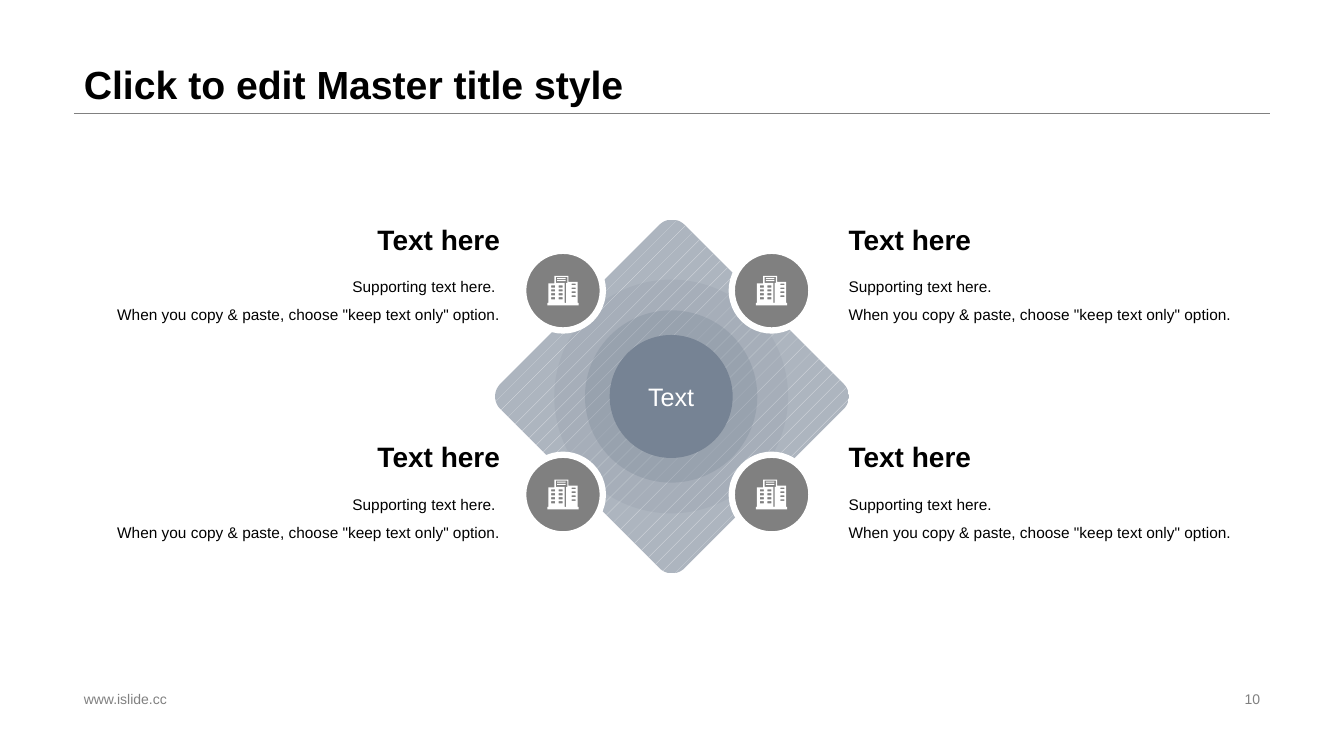
import math

import pptx
import pptx.dml.color
import pptx.enum.dml
import pptx.enum.shapes
import pptx.enum.text
import pptx.oxml.ns
import pptx.util
from lxml import etree

CELL = 76200
COLUMNS, ROWS = 160, 90
MARGIN, CONTENT_WIDTH = 8.8, 142.4
COLORS = {
    "ink": "000000",
    "white": "FFFFFF",
    "gray": "808080",
    "slate": "768394",
    "diamond": "ADB5BF",
    "hatch": "E4E6EA",
}
ALIGN = pptx.enum.text.PP_ALIGN
ANCHOR = pptx.enum.text.MSO_ANCHOR
OVAL = pptx.enum.shapes.MSO_SHAPE.OVAL
SUPPORT = ["Supporting text here.", 'When you copy & paste, choose "keep text only" option.']


def cells(*counts):
    return [pptx.util.Emu(round(count * CELL)) for count in counts]


def color(name):
    return pptx.dml.color.RGBColor.from_string(COLORS[name])


def apply(target, formats):
    for name, value in formats.items():
        setattr(target, name, value)


def write(frame, lines, size, ink="ink", bold=False, align=ALIGN.LEFT,
          anchor=ANCHOR.MIDDLE, spacing=1.0):
    apply(frame, {"word_wrap": True, "vertical_anchor": anchor})
    for index, line in enumerate(lines):
        para = frame.paragraphs[0] if index == 0 else frame.add_paragraph()
        apply(para, {"alignment": align, "line_spacing": spacing})
        span = para.add_run()
        span.text = line
        apply(span.font, {"name": "Arial", "size": pptx.util.Pt(size), "bold": bold})
        span.font.color.rgb = color(ink)


def add_text(page, box, lines, size, **formats):
    write(page.shapes.add_textbox(*cells(*box)).text_frame, lines, size, **formats)


def paint(shape, fill, alpha=None, outline=None, width=0):
    shape.shadow.inherit = False
    shape.fill.solid()
    shape.fill.fore_color.rgb = color(fill)
    if alpha is not None:
        tone = shape.fill._xPr.find(".//" + pptx.oxml.ns.qn("a:srgbClr"))
        etree.SubElement(tone, pptx.oxml.ns.qn("a:alpha"), val=str(alpha * 1000))
    if outline:
        shape.line.color.rgb = color(outline)
        shape.line.width = pptx.util.Pt(width)
    else:
        shape.line.fill.background()


def add_circle(page, x, y, diameter, fill, **formats):
    box = cells(x - diameter / 2, y - diameter / 2, diameter, diameter)
    circle = page.shapes.add_shape(OVAL, *box)
    paint(circle, fill, **formats)
    return circle


def add_outline(page, contours, scale, x, y):
    builder = page.shapes.build_freeform(*contours[0][0], scale=scale)
    for index, contour in enumerate(contours):
        if index:
            builder.move_to(*contour[0])
        builder.add_line_segments(contour[1:], close=True)
    return builder.convert_to_shape(*cells(x, y))


def add_diamond(page, x, y, reach, radius):
    points = []
    for corner in range(0, 360, 90):
        turn = math.radians(corner)
        for angle in range(corner - 45, corner + 46, 5):
            bend = math.radians(angle)
            points.append((
                round(1000 * ((reach - radius) * math.cos(turn) + radius * math.cos(bend))),
                round(1000 * ((reach - radius) * math.sin(turn) + radius * math.sin(bend))),
            ))
    diamond = add_outline(page, [points], CELL / 1000, x, y)
    diamond.shadow.inherit = False
    diamond.fill.patterned()
    diamond.fill.pattern = pptx.enum.dml.MSO_PATTERN.PERCENT_5
    diamond.fill.fore_color.rgb = color("hatch")
    diamond.fill.back_color.rgb = color("diamond")
    diamond.line.fill.background()


def rectangle(x, y, width, height):
    return [(x, y), (x + width, y), (x + width, y + height), (x, y + height)]


def add_buildings(page, x, y):
    body = [(70, 0), (210, 0), (210, 60), (300, 60), (300, 270), (310, 270),
            (310, 295), (0, 295), (0, 270), (10, 270), (10, 75), (70, 75)]
    passage = [(85, 10), (85, 72), (172, 72), (172, 270), (186, 270), (186, 72),
               (198, 72), (198, 10)]
    windows = [rectangle(left, top + 39 * floor, 40, height)
               for left, top, height in ((38, 95, 22), (112, 95, 22), (242, 78, 16))
               for floor in range(4)]
    signs = [rectangle(98, top, 85, 10) for top in (20, 42)]
    icon = add_outline(page, [body, passage] + windows + signs, 914.4,
                       x - 1.86, y - 1.77)
    paint(icon, "white")


def add_badge(page, x, y):
    add_circle(page, x, y, 9.48, "gray", outline="white", width=4.5)
    add_buildings(page, x, y)


def add_diagram(page, x, y):
    add_diamond(page, x, y, 21.06, 2.12)
    for diameter, alpha in ((27.84, 12), (20.52, 28), (14.64, None)):
        core = add_circle(page, x - 0.1, y, diameter, "slate", alpha=alpha)
    write(core.text_frame, ["Text"], 18, ink="white", align=ALIGN.CENTER)
    for side in (-1, 1):
        for level in (-1, 1):
            add_badge(page, x - 0.56 + side * 12.42, y - 0.46 + level * 12.14)


def add_caption(page, x, y, align):
    width, heading = 51.24, 5.76
    first = SUPPORT[0] + (" " if align == ALIGN.RIGHT else "")
    add_text(page, (x, y, width, heading), ["Text here"], 20, bold=True, align=align)
    add_text(page, (x, y + heading, width, 9.12), [first, SUPPORT[1]], 11,
             align=align, anchor=ANCHOR.TOP, spacing=1.5)


def add_header(page, x, width, height):
    ends = cells(x, height, x + width, height)
    rule = page.shapes.add_connector(pptx.enum.shapes.MSO_CONNECTOR.STRAIGHT, *ends)
    rule.line.color.rgb = color("gray")
    rule.line.width = pptx.util.Pt(0.25)
    etree.SubElement(rule._element.spPr, pptx.oxml.ns.qn("a:effectLst"))
    add_text(page, (x, 0, width, height), ["Click to edit Master title style"], 28,
             bold=True, anchor=ANCHOR.BOTTOM, spacing=0.9)


def add_footer(page, x, y, width):
    height, number = 2.76, 38.16
    add_text(page, (x, y, 54.4, height), ["www.islide.cc"], 10, ink="gray")
    add_text(page, (x + width - number, y, number, height), ["10"], 10,
             ink="gray", align=ALIGN.RIGHT)


def main():
    deck = pptx.Presentation()
    deck.slide_width, deck.slide_height = cells(COLUMNS, ROWS)
    page = deck.slides.add_slide(deck.slide_layouts[6])
    add_header(page, MARGIN, CONTENT_WIDTH, 13.44)
    add_footer(page, MARGIN, 81.84, CONTENT_WIDTH)
    add_diagram(page, COLUMNS / 2, 47.2)
    for x, align in ((9.48, ALIGN.RIGHT), (99.84, ALIGN.LEFT)):
        for y in (25.56, 51.48):
            add_caption(page, x, y, align)
    deck.save("out.pptx")


if __name__ == "__main__":
    main()
